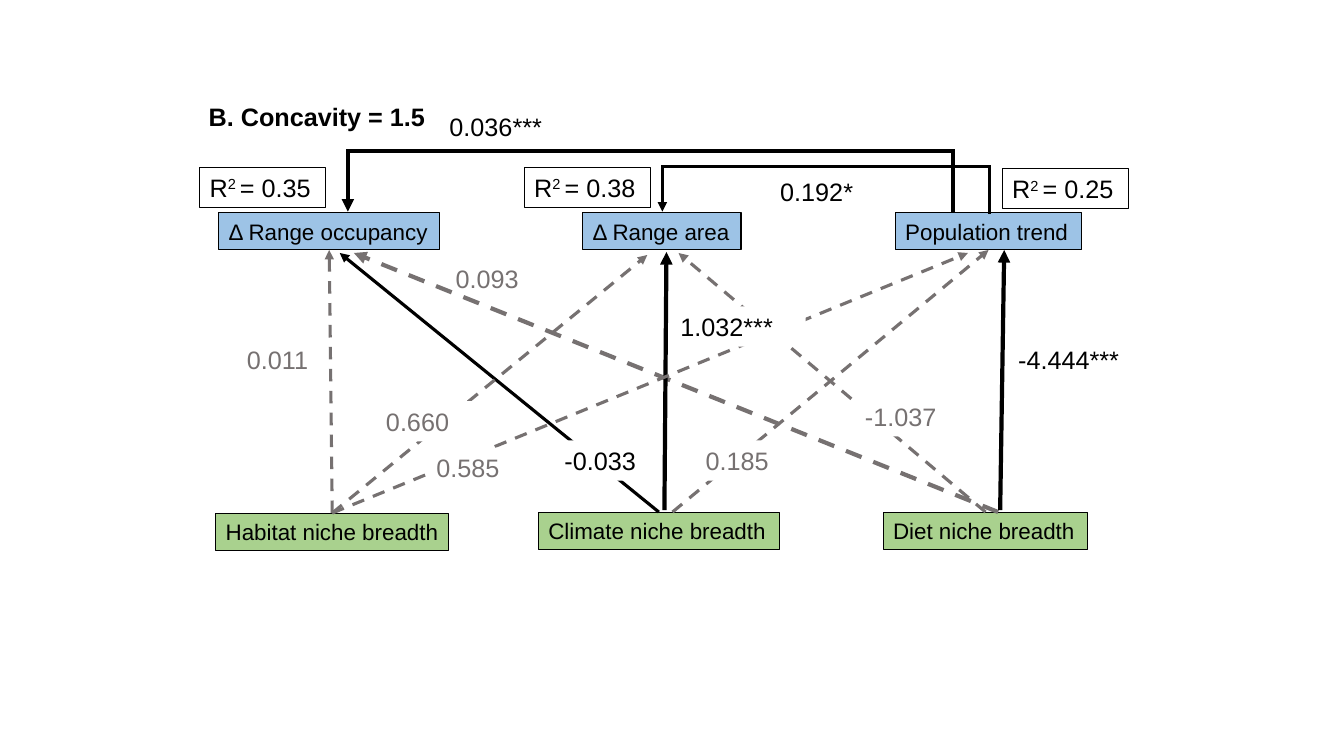
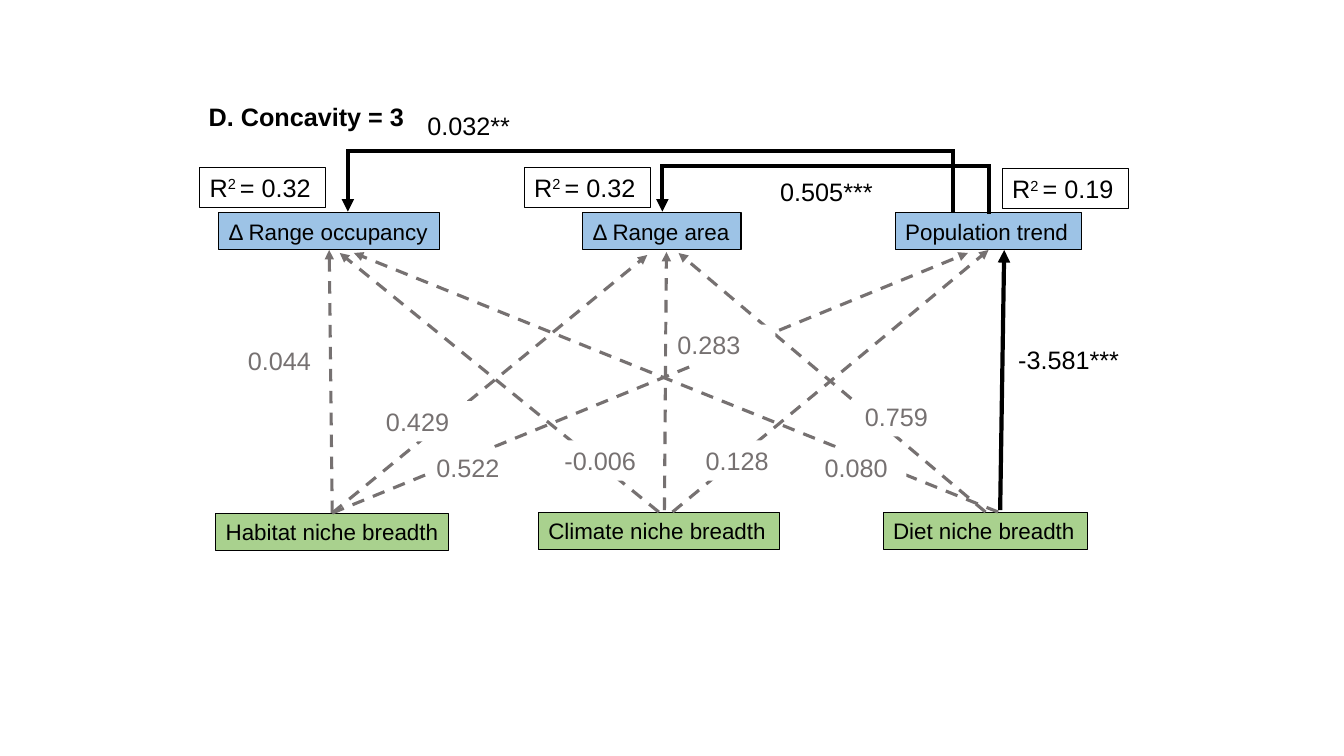
from lxml.etree import SubElement
from pptx import Presentation
from pptx.dml.color import RGBColor
from pptx.enum.dml import MSO_LINE
from pptx.enum.shapes import MSO_CONNECTOR, MSO_SHAPE
from pptx.enum.text import MSO_ANCHOR, MSO_AUTO_SIZE, PP_ALIGN
from pptx.oxml.ns import qn
from pptx.util import Pt

PX = 9144  # EMU per px, 100 px to the inch
BLACK, GREY, WHITE = "000000", "767171", "FFFFFF"
GREEN, BLUE = "A9D18E", "9DC3E6"
FRAME = {"word_wrap": True, "auto_size": MSO_AUTO_SIZE.NONE,
         "vertical_anchor": MSO_ANCHOR.MIDDLE, "margin_left": 10 * PX,
         "margin_right": 0, "margin_top": 5 * PX, "margin_bottom": 5 * PX}

# Path styles: colour, width in points, dash
DASHED = (GREY, 2.25, MSO_LINE.DASH)
DASHED_WIDE = (GREY, 3, MSO_LINE.DASH)
SOLID = (BLACK, 2.25, None)
SOLID_WIDE = (BLACK, 3, None)

# Variables: text, left, top, width, fill
VARIABLES = {
    "habitat": ("Habitat niche breadth", 214, 509, 231, GREEN),
    "climate": ("Climate niche breadth", 534, 508, 239, GREEN),
    "diet": ("Diet niche breadth", 876, 508, 203, GREEN),
    "occupancy": ("Δ Range occupancy", 217, 211, 219, BLUE),
    "area": ("Δ Range area", 578, 211, 157, BLUE),
    "population": ("Population trend", 888, 211, 185, BLUE),
}
VARIABLE_HEIGHT, LABEL_HEIGHT = 37, 40

# Straight paths: each end is a variable to join or a free point
STRAIGHT = {
    "habitat-occupancy": ("habitat", "occupancy"),
    "climate-occupancy": ("climate", (337, 251)),
    "diet-occupancy": ((990, 508), (351, 251)),
    "habitat-area": ("habitat", (642, 253)),
    "climate-area": ((659, 506), (661, 250)),
    "diet-area": ("diet", (673, 251)),
    "climate-population": ((667, 508), "population"),
    "diet-population": ((992, 506), (996, 248)),
    "habitat-population": ("habitat", (960, 251)),
}
# Bent paths: start x, start y, end x, end y, y of the level part
BENT = {
    "population-area": (981, 212, 657, 210, 165),
    "population-occupancy": (945, 211, 345, 210, 149),
}
# Label places: left, top, width
PLACES = {
    "habitat-occupancy": (235, 337, 87),
    "climate-area": (665, 304, 134),
    "population-area": (764, 170, 113),
    "diet-population": (1000, 337, 125),
    "habitat-area": (373, 398, 95),
    "habitat-population": (423, 444, 84),
    "climate-occupancy": (550, 437, 93),
    "climate-population": (690, 437, 84),
    "diet-area": (848, 393, 91),
    "diet-occupancy": (442, 256, 111),
    "population-occupancy": (436, 105, 114),
}
R2_PLACES = [(198, 166), (520, 166), (994, 167)]

MODELS = [
    {
        "title": "B. Concavity = 1.5", "title_width": 246,
        "r2": ["0.35", "0.38", "0.25"],
        "moved": {},
        "unfilled": {"habitat-occupancy", "diet-occupancy"},
        "paths": {
            "habitat-occupancy": ("0.011", DASHED),
            "climate-occupancy": ("-0.033", SOLID),
            "diet-occupancy": ("0.093", DASHED_WIDE),
            "habitat-area": ("0.660", DASHED),
            "climate-area": ("1.032***", SOLID_WIDE),
            "diet-area": ("-1.037", DASHED),
            "climate-population": ("0.185", DASHED),
            "diet-population": ("-4.444***", SOLID_WIDE),
            "habitat-population": ("0.585", DASHED),
            "population-area": ("0.192*", SOLID),
            "population-occupancy": ("0.036***", SOLID_WIDE),
        },
    },
    {
        "title": "D. Concavity = 3", "title_width": 224,
        "r2": ["0.32", "0.32", "0.19"],
        "moved": {
            "habitat-occupancy": (236, 338, 104),
            "climate-area": (662, 322, 107),
            "diet-occupancy": (808, 444, 91),
            "population-occupancy": (414, 104, 120),
        },
        "unfilled": {"habitat-occupancy"},
        "paths": {
            "habitat-occupancy": ("0.044", DASHED),
            "climate-occupancy": ("-0.006", DASHED),
            "diet-occupancy": ("0.080", DASHED),
            "habitat-area": ("0.429", DASHED),
            "climate-area": ("0.283", DASHED),
            "diet-area": ("0.759", DASHED),
            "climate-population": ("0.128", DASHED),
            "diet-population": ("-3.581***", SOLID_WIDE),
            "habitat-population": ("0.522", DASHED),
            "population-area": ("0.505***", SOLID_WIDE),
            "population-occupancy": ("0.032**", SOLID_WIDE),
        },
    },
]


def colour(fmt, value):
    """Give a fill, or a font's fill, one solid colour."""
    fmt.solid()
    fmt.fore_color.rgb = RGBColor.from_string(value)


def write(shape, box, runs, size=18, ink=BLACK, fill=WHITE, border=False, bold=False):
    """Place a shape, paint it and fill in its (text, baseline) runs."""
    for name, length in zip(("left", "top", "width", "height"), box):
        setattr(shape, name, length * PX)
    shape.shadow.inherit = False
    if fill:
        colour(shape.fill, fill)
    else:
        shape.fill.background()
    if border:
        colour(shape.line.fill, BLACK)
        shape.line.width = Pt(0.75)
    else:
        shape.line.fill.background()
    for name, value in FRAME.items():
        setattr(shape.text_frame, name, value)
    paragraph = shape.text_frame.paragraphs[0]
    paragraph.alignment = PP_ALIGN.LEFT
    for text, baseline in runs:
        run = paragraph.add_run()
        run.text = text
        for name, value in {"name": "Arial", "size": Pt(size), "bold": bold}.items():
            setattr(run.font, name, value)
        colour(run.font.fill, ink)
        if baseline:
            run._r.get_or_add_rPr().set("baseline", str(baseline))


prs = Presentation()
prs.slide_width, prs.slide_height = 1333 * PX, 750 * PX

for model in MODELS:
    slide = prs.slides.add_slide(prs.slide_layouts[5])
    shapes = slide.shapes
    write(shapes.title, (197, 95, model["title_width"], LABEL_HEIGHT),
          [(model["title"], 0)], bold=True)

    # Variables
    variables = {}
    for key, (text, left, top, width, fill) in VARIABLES.items():
        variables[key] = shapes.add_shape(MSO_SHAPE.RECTANGLE, 0, 0, 0, 0)
        write(variables[key], (left, top, width, VARIABLE_HEIGHT), [(text, 0)],
              size=16, fill=fill, border=True)

    # Straight paths, from the top of a predictor to the bottom of a response
    paths = {}
    for key, (start, end) in STRAIGHT.items():
        points = [(0, 0) if isinstance(point, str) else point for point in (start, end)]
        path = shapes.add_connector(
            MSO_CONNECTOR.STRAIGHT, *(value * PX for point in points for value in point))
        if isinstance(start, str):
            path.begin_connect(variables[start], 0)
        if isinstance(end, str):
            path.end_connect(variables[end], 2)
        paths[key] = path

    # Bent paths: the elbow is turned by 270 degrees so that it rises first
    for key, (start_x, start_y, end_x, end_y, level) in BENT.items():
        drop, span = start_y - end_y, start_x - end_x
        path = shapes.add_connector(MSO_CONNECTOR.ELBOW, 0, 0, 0, 0)
        path.left = (start_x + end_x - drop) * PX // 2
        path.top = (start_y + end_y - span) * PX // 2
        path.width, path.height = drop * PX, span * PX
        xfrm = path._element.spPr.find(qn("a:xfrm"))
        xfrm.set("rot", str(270 * 60000))
        xfrm.set("flipV", "1")
        guides = path._element.spPr.find(qn("a:prstGeom")).get_or_add_avLst()
        SubElement(guides, qn("a:gd"), name="adj1",
                   fmla=f"val {(start_y - level) * 100000 // drop}")
        paths[key] = path

    # Line style and arrowhead of every path
    for key, path in paths.items():
        ink, weight, dash = model["paths"][key][1]
        colour(path.line.fill, ink)
        path.line.width = Pt(weight)
        if dash:
            path.line.dash_style = dash
        line = path._element.spPr.find(qn("a:ln"))
        SubElement(line, qn("a:miter"), lim="800000")
        SubElement(line, qn("a:tailEnd"), type="triangle")
        SubElement(path._element.spPr, qn("a:effectLst"))

    # Path coefficients, in the colour of their path
    for key, place in {**PLACES, **model["moved"]}.items():
        text, (ink, _, _) = model["paths"][key]
        left, top, width = place
        write(shapes.add_shape(MSO_SHAPE.RECTANGLE, 0, 0, 0, 0),
              (left, top, width, LABEL_HEIGHT), [(text, 0)], ink=ink,
              fill=None if key in model["unfilled"] else WHITE)

    # Explained variance
    for (left, top), value in zip(R2_PLACES, model["r2"]):
        write(shapes.add_shape(MSO_SHAPE.RECTANGLE, 0, 0, 0, 0),
              (left, top, 125, LABEL_HEIGHT),
              [("R", 0), ("2 ", 30000), (f"= {value}", 0)], border=True)

prs.save("out.pptx")
